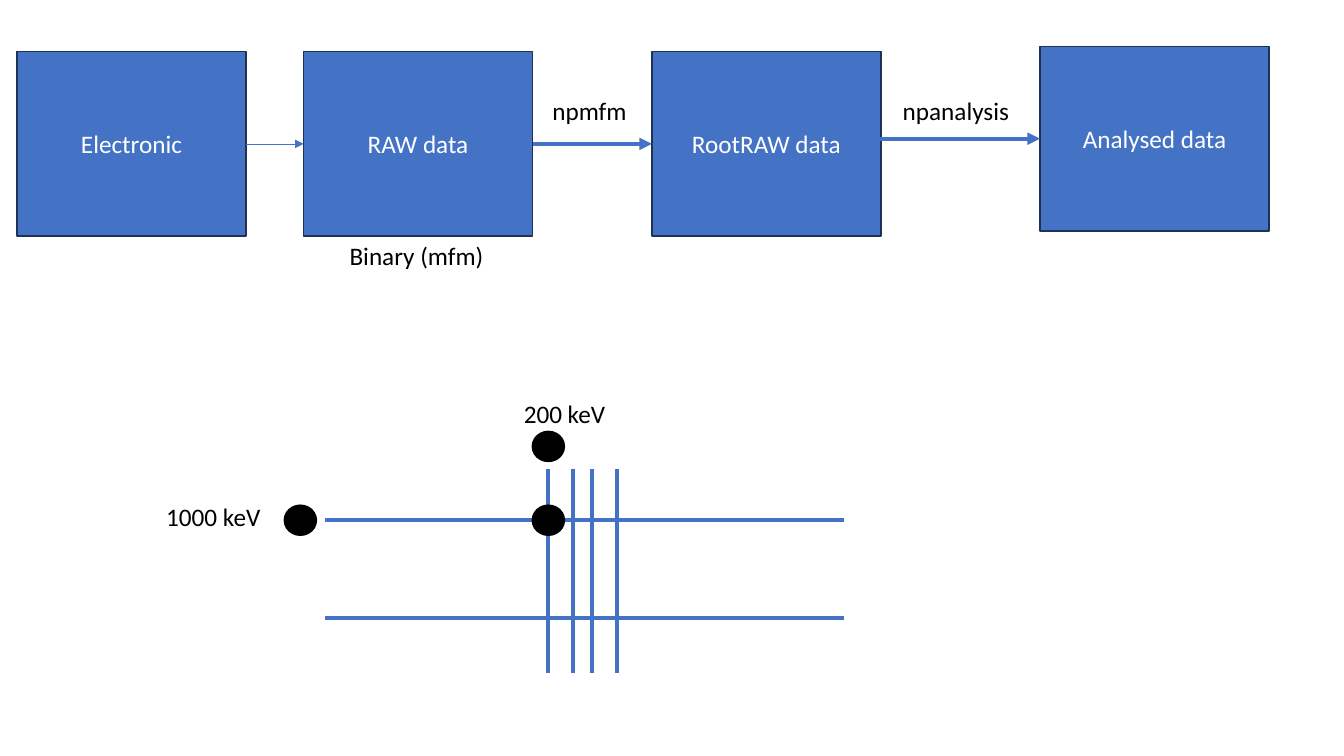
from lxml import etree
from pptx import Presentation
from pptx.dml.color import RGBColor
from pptx.enum.shapes import MSO_CONNECTOR as LINE, MSO_SHAPE as SHAPE
from pptx.enum.text import MSO_ANCHOR, MSO_AUTO_SIZE, PP_ALIGN
from pptx.oxml.ns import qn
from pptx.util import Cm, Pt

BLUE, NAVY, BLACK, WHITE = "4472C4", "1E3256", "000000", "FFFFFF"

BOX_W, BOX_H = 5.77, 4.65
STAGES = [
    ("Electronic", 0.43, 1.3),
    ("RAW data", 7.65, 1.3),
    ("RootRAW data", 16.43, 1.3),
    ("Analysed data", 26.21, 1.17),
]
FLOW_WEIGHTS = [0.5, 3, 3]
FLOW_INSETS = [0, 0, 0.2]
LABELS = [
    ("Binary (mfm)", 8.56, 5.94, 3.91),
    ("npmfm", 13.67, 2.29, 2.41),
    ("npanalysis", 22.5, 2.29, 3.23),
    ("1000 keV", 3.94, 12.52, 2.92),
    ("200 keV", 12.95, 9.91, 2.59),
]
STRIP_XS = [13.82, 14.45, 14.91, 15.54]
STRIP_TOP, STRIP_BOTTOM = 11.81, 16.97
STRIP_YS = [13.11, 15.57]
STRIP_LEFT, STRIP_RIGHT = 8.18, 21.26
DOT_W, DOT_H = 0.81, 0.76
HITS = [(7.57, STRIP_YS[0]), (STRIP_XS[0], 11.25), (STRIP_XS[0], STRIP_YS[0])]


def rgb(value):
    return RGBColor.from_string(value)


def write(tf, text, color=BLACK, align=PP_ALIGN.LEFT, size=18, font="Calibri"):
    p = tf.paragraphs[0]
    p.alignment = align
    r = p.add_run()
    r.text = text
    r.font.size = Pt(size)
    r.font.name = font
    r.font.color.rgb = rgb(color)


def add_block(s, kind, x, y, w, h, fill, outline):
    sp = s.shapes.add_shape(kind, Cm(x), Cm(y), Cm(w), Cm(h))
    sp.shadow.inherit = False
    sp.fill.solid()
    sp.fill.fore_color.rgb = rgb(fill)
    sp.line.color.rgb = rgb(outline)
    sp.line.width = Pt(1)
    return sp


def add_line(s, x1, y1, x2, y2, weight=3, arrow=False):
    cx = s.shapes.add_connector(LINE.STRAIGHT, Cm(x1), Cm(y1), Cm(x2), Cm(y2))
    cx.line.color.rgb = rgb(BLUE)
    cx.line.width = Pt(weight)
    if arrow:
        etree.SubElement(cx.line._get_or_add_ln(), qn("a:tailEnd"), type="triangle")
    etree.SubElement(cx._element.spPr, qn("a:effectLst"))


def add_label(s, text, x, y, w):
    sp = s.shapes.add_textbox(Cm(x), Cm(y), Cm(w), Cm(1.02))
    tf = sp.text_frame
    tf.word_wrap = False
    tf.auto_size = MSO_AUTO_SIZE.SHAPE_TO_FIT_TEXT
    write(tf, text)


def main():
    prs = Presentation()
    prs.slide_width, prs.slide_height = Cm(33.87), Cm(19.05)
    s = prs.slides.add_slide(prs.slide_layouts[6])

    for text, x, y in STAGES:
        sp = add_block(s, SHAPE.RECTANGLE, x, y, BOX_W, BOX_H, BLUE, NAVY)
        sp.text_frame.vertical_anchor = MSO_ANCHOR.MIDDLE
        write(sp.text_frame, text, color=WHITE, align=PP_ALIGN.CENTER)

    for start, end, weight, inset in zip(STAGES, STAGES[1:], FLOW_WEIGHTS, FLOW_INSETS):
        y = end[2] + BOX_H / 2
        add_line(s, start[1] + BOX_W - inset, y, end[1], y, weight, arrow=True)

    for x in STRIP_XS:
        add_line(s, x, STRIP_TOP, x, STRIP_BOTTOM)
    for y in STRIP_YS:
        add_line(s, STRIP_RIGHT, y, STRIP_LEFT, y)

    for x, y in HITS:
        add_block(s, SHAPE.OVAL, x - DOT_W / 2, y - DOT_H / 2, DOT_W, DOT_H, BLACK, BLACK)

    for label in LABELS:
        add_label(s, *label)

    prs.save("out.pptx")


if __name__ == "__main__":
    main()
